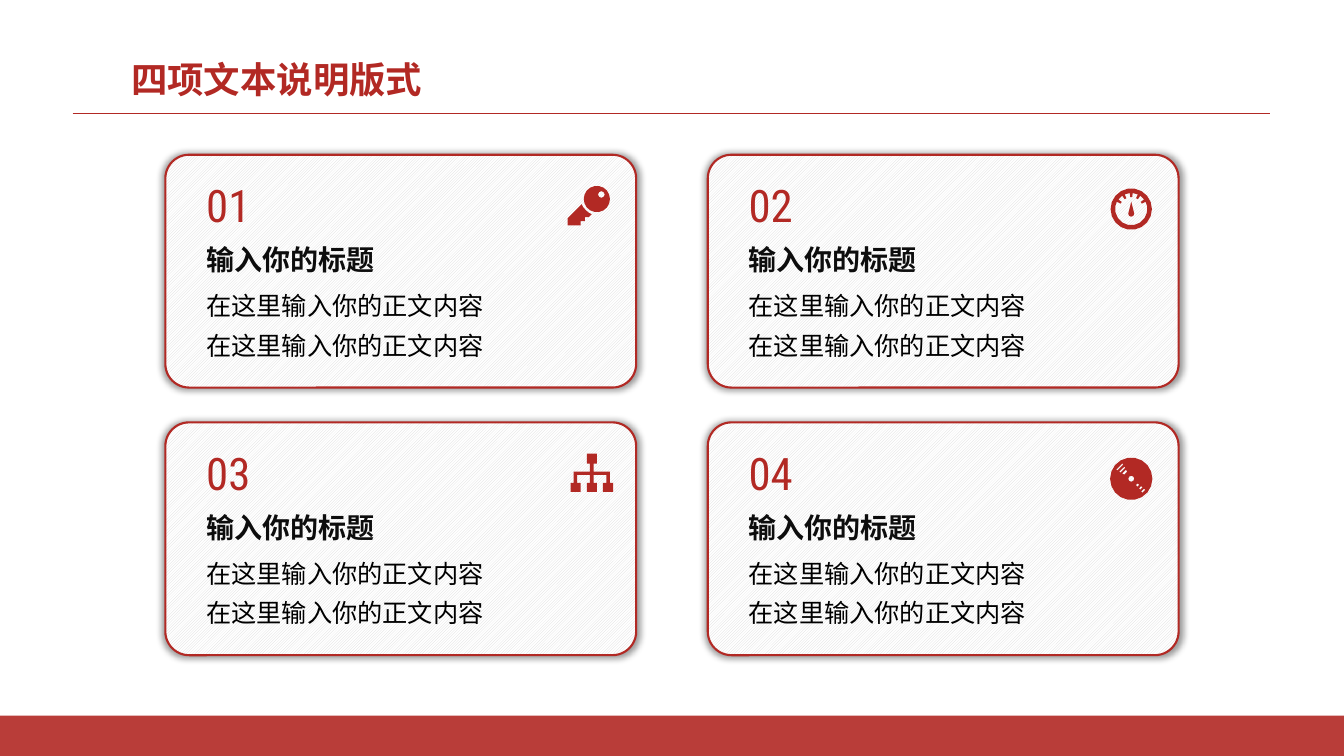
from math import cos, radians, sin

from lxml import etree
from pptx import Presentation
from pptx import util as u
from pptx.dml.color import RGBColor
from pptx.enum import dml, shapes, text
from pptx.oxml import ns

W, H = 13.33, 7.5
RED, WHITE = "B22924", "FFFFFF"
LATIN, CJK, NUMERAL = "Times New Roman", "Noto Sans CJK SC", "Roboto Condensed"

# Card grid: first corner, card size and step between cards
GRID_X, GRID_Y = 1.64, 1.535
CARD_W, CARD_H = 4.67, 2.31
STEP_X, STEP_Y = 5.38, 2.655

HEADING = "输入你的标题"
BODY = ["在这里输入你的正文内容"] * 2


def color(value):
    return RGBColor.from_string(value)


def sub(parent, tag, **attrs):
    return etree.SubElement(parent, ns.qn(tag), attrs)


def paint(sp, fill, alpha=None):
    sp.shadow.inherit = False
    sp.fill.solid()
    sp.fill.fore_color.rgb = color(fill)
    sp.line.fill.background()
    if alpha:
        clr = sp._element.spPr.find(".//" + ns.qn("a:srgbClr"))
        sub(clr, "a:alpha", val=str(alpha * 1000))


def add_rect(s, x, y, w, h, kind=shapes.MSO_SHAPE.RECTANGLE):
    return s.add_shape(kind, *map(u.Inches, (x, y, w, h)))


def add_text(s, box, lines, size, font, fill, bold=False, spacing=None,
             insets=(0, 0.05, 0.1, 0.05), anchor=text.MSO_ANCHOR.TOP):
    tf = s.add_textbox(*map(u.Inches, box)).text_frame
    tf.word_wrap = True
    tf.vertical_anchor = anchor
    for side, inset in zip(("left", "top", "right", "bottom"), insets):
        setattr(tf, "margin_" + side, u.Inches(inset))
    for i, line in enumerate(lines):
        p = tf.paragraphs[0] if i == 0 else tf.add_paragraph()
        if spacing:
            p.line_spacing = spacing
        r = p.add_run()
        r.text = line
        look = {"size": u.Pt(size), "name": font, "bold": bold}
        for name, value in look.items():
            setattr(r.font, name, value)
        r.font.color.rgb = color(fill)
        sub(r._r.get_or_add_rPr(), "a:ea", typeface=CJK)


# Icon outlines, in thousandths of an inch from the card's corner
def arc(cx, cy, radius, start, end, steps):
    angles = [radians(start + (end - start) * i / steps) for i in range(steps + 1)]
    return [(cx + radius * cos(a), cy + radius * sin(a)) for a in angles]


def circle(cx, cy, radius, sides=18):
    return arc(cx, cy, radius, 0, 360, sides)[:-1]


def slot(cx, cy, inner, outer, start, end):
    return arc(cx, cy, outer, start, end, 1) + arc(cx, cy, inner, end, start, 1)


def key_icon():
    shaft = [(4170, 550), (4145, 520), (4130, 490), (3990, 630), (3990, 700),
             (4120, 700), (4120, 660), (4160, 660), (4160, 620), (4200, 620),
             (4230, 590), (4200, 575)]
    return [[shaft], [circle(4280, 440, 130), circle(4325, 395, 33, 8)]]


def gauge_icon():
    cx, cy = 4200, 540
    dial = arc(cx, cy, 160, -10, 190, 9)
    for tick in range(212, 329, 29):
        dial += slot(cx, cy, 118, 160, tick - 5, tick - 5)[1:3]
        dial += slot(cx, cy, 160, 118, tick + 5, tick + 5)[1:3]
    needle = [(cx, 465)] + arc(cx, 585, 30, 0, 180, 4)
    return [[circle(cx, cy, 205), dial], [needle]]


def tree_icon():
    cx = 4230
    half = [(50, 310), (50, 410), (18, 410), (18, 490), (180, 490), (180, 600),
            (210, 600), (210, 690), (110, 690), (110, 600), (145, 600),
            (145, 520), (18, 520), (18, 600), (50, 600), (50, 690)]
    right = [(cx + dx, y) for dx, y in half]
    left = [(cx - dx, y) for dx, y in reversed(half)]
    return [[right + left]]


def disc_icon():
    cx, cy = 4200, 560
    slots = [(160, 175, 211, 240), (122, 138, 210, 241), (80, 103, 210, 240),
             (78, 100, 37, 53), (122, 140, 37, 51), (160, 178, 38, 52)]
    return [[circle(cx, cy, 210), circle(cx, cy, 30, 8)] + [slot(cx, cy, *a) for a in slots]]


def add_icon(s, x, y, parts):
    for contours in parts:
        fb = s.build_freeform(*contours[0][0], scale=914.4)
        fb.add_line_segments(contours[0][1:])
        for contour in contours[1:]:
            fb.move_to(*contour[0])
            fb.add_line_segments(contour[1:])
        paint(fb.convert_to_shape(u.Inches(x), u.Inches(y)), RED)


def add_header(s, x, y, w):
    add_text(s, (x + 0.58, y, 8, 0.37), ["四项文本说明版式"], 26, LATIN, RED, True, 0.9,
             (0, 0, 0, 0), text.MSO_ANCHOR.MIDDLE)
    rule = s.add_connector(shapes.MSO_CONNECTOR.STRAIGHT,
                           *map(u.Inches, (x, y + 0.49, x + w, y + 0.49)))
    rule.line.color.rgb = color(RED)
    rule.line.width = u.Pt(0.5)
    sub(rule._element.spPr, "a:effectLst")


def add_card(s, x, y, number, icon):
    s = s.add_group_shape().shapes
    # Hatched panel with a soft shadow
    sp = add_rect(s, x, y, CARD_W, CARD_H, shapes.MSO_SHAPE.ROUNDED_RECTANGLE)
    sp.adjustments[0] = 0.102
    sp.fill.patterned()
    sp.fill.pattern = dml.MSO_PATTERN.LIGHT_UPWARD_DIAGONAL
    sp.fill.fore_color.rgb = color("D9D9D9")
    sp.fill.back_color.rgb = color(WHITE)
    sp.line.color.rgb = color(RED)
    sp.line.width = u.Pt(1.5)
    sp.shadow.inherit = False
    effects = sp._element.spPr.find(ns.qn("a:effectLst"))
    shadow = sub(effects, "a:outerShdw", blurRad=str(u.Pt(5)), dist="0", dir="0",
                 sx="101000", sy="101000", algn="ctr", rotWithShape="0")
    sub(sub(shadow, "a:srgbClr", val="000000"), "a:alpha", val="40000")
    # Number, heading and body
    left = x + 0.405
    add_text(s, (left, y + 0.18, 0.62, 0.64), [number], 32, NUMERAL, RED)
    add_text(s, (left, y + 0.825, 2.09, 0.44), [HEADING], 20, CJK, "0D0D0D", True)
    add_text(s, (left, y + 1.21, 3.55, 0.85), BODY, 18, LATIN, "000000", spacing=1.3)
    add_icon(s, x, y, icon)


def main():
    prs = Presentation()
    prs.slide_width, prs.slide_height = u.Inches(W), u.Inches(H)
    s = prs.slides.add_slide(prs.slide_layouts[6]).shapes
    # Page and footer band
    paint(add_rect(s, 0, 0, W, H - 0.4), WHITE, 93)
    paint(add_rect(s, 0, H - 0.4, W, 0.4), RED, 90)
    add_header(s, 0.72, 0.63, 11.88)
    # Two by two cards
    icons = [key_icon(), gauge_icon(), tree_icon(), disc_icon()]
    for i, icon in enumerate(icons):
        row, col = divmod(i, 2)
        add_card(s, GRID_X + col * STEP_X, GRID_Y + row * STEP_Y, f"{i + 1:02d}", icon)
    prs.save("out.pptx")


if __name__ == "__main__":
    main()
